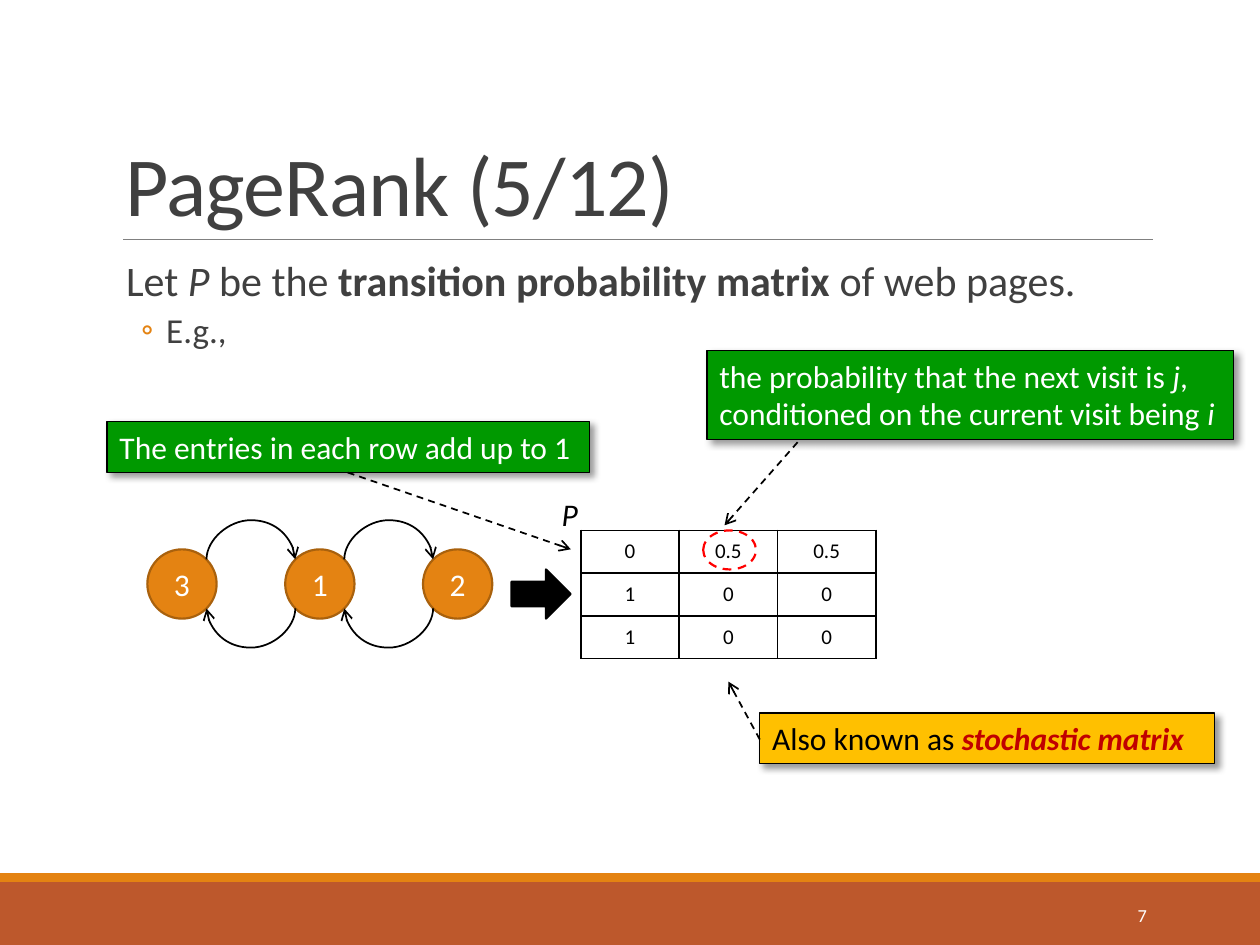
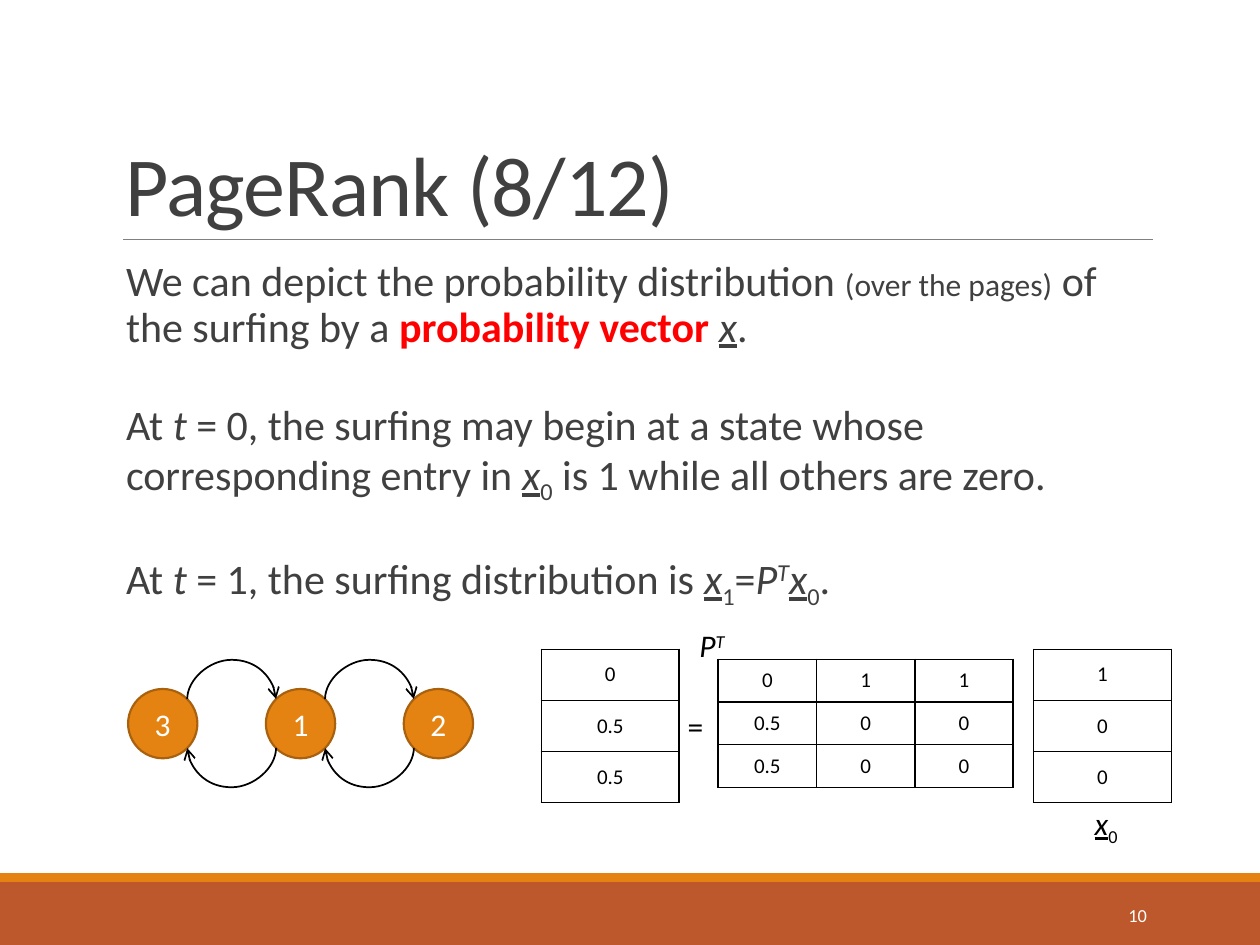
"""Builds two slides on the PageRank transition matrix."""
from math import cos, pi

from lxml.etree import SubElement
from pptx import Presentation
from pptx.dml.color import RGBColor
from pptx.enum.dml import MSO_LINE as Dash
from pptx.enum.shapes import MSO_CONNECTOR as Link, MSO_SHAPE as Form
from pptx.enum.text import MSO_ANCHOR as Anchor, MSO_AUTO_SIZE as Fit, PP_ALIGN as Align
from pptx.oxml.ns import qn
from pptx.util import Pt

COLORS = {
    "rust": "BD582C", "orange": "E48312", "brown": "A9610D", "gray": "808080",
    "ink": "404040", "black": "000000", "white": "FFFFFF", "green": "009900",
    "amber": "FFC000", "crimson": "C00000", "red": "FF0000",
}
FONT = "Calibri"
DIAMETER, PITCH = 39.6, 78.75
ARC_HEIGHT, ARC_DEPTH = 23.76, 0.12
ITALIC = {"italic": True}
VECTOR = {"italic": True, "underline": True}
SUB, SUPER = {"baseline": -25}, {"baseline": 30, "italic": True}


def rgb(name):
    return RGBColor.from_string(COLORS[name])


def points(*lengths):
    return [Pt(length) for length in lengths]


def write(paragraph, text, size=18, color="black", bold=False, italic=False,
          underline=False, baseline=0, spacing=0):
    run = paragraph.add_run()
    run.text = text
    font = run.font
    font.name, font.size, font.bold = FONT, Pt(size), bold
    font.italic, font.underline = italic, underline
    font.color.rgb = rgb(color)
    if baseline:
        run._r.get_or_add_rPr().set("baseline", str(baseline * 1000))
    if spacing:
        run._r.get_or_add_rPr().set("spc", str(int(spacing * 100)))


class Deck:
    def __init__(self):
        self.prs = Presentation()
        self.prs.slide_width, self.prs.slide_height = points(720, 540)

    def new_slide(self, title, number):
        self.slide = self.prs.slides.add_slide(self.prs.slide_layouts[6])
        self.shape(Form.RECTANGLE, (0, 504, 720, 36), "rust")
        self.shape(Form.RECTANGLE, (0, 499, 720, 5), "orange")
        self.line((70.5, 136.8), (658.8, 136.8), "gray", 0.5)
        heading = self.text((64.8, 22.5, 594, 136.8 - 22.5), [[(title, {"spacing": -0.5})]],
                            anchor=Anchor.BOTTOM, size=48, color="ink")
        heading.paragraphs[0].line_spacing = 0.85
        self.text((584.6, 508.3, 77.8, 28.8), [[(str(number), {})]], Align.RIGHT,
                  Anchor.MIDDLE, size=10.5, color="white")

    def fill_text(self, frame, paragraphs, align=Align.LEFT, anchor=Anchor.TOP,
                  wrap=True, **style):
        frame.word_wrap, frame.vertical_anchor = wrap, anchor
        if not wrap:
            frame.auto_size = Fit.SHAPE_TO_FIT_TEXT
        for index, runs in enumerate(paragraphs):
            paragraph = frame.add_paragraph() if index else frame.paragraphs[0]
            paragraph.alignment = align
            for content, extra in runs:
                write(paragraph, content, **{**style, **extra})
        return frame

    def text(self, box, paragraphs, *layout, **style):
        frame = self.slide.shapes.add_textbox(*points(*box)).text_frame
        return self.fill_text(frame, paragraphs, *layout, **style)

    def label(self, box, *runs):
        self.text(box, [runs], wrap=False)

    def body(self, paragraphs, gap=14):
        frame = self.text((64.8, 145.4, 594, 316.8), paragraphs, size=24, color="ink")
        frame.margin_left = frame.margin_right = 0
        for index, paragraph in enumerate(frame.paragraphs):
            paragraph._p.get_or_add_pPr().set("marL", str(Pt(7.2)))
            paragraph.line_spacing, paragraph.space_after = 0.9, Pt(2)
            if index:
                paragraph.space_before = Pt(gap)
        return frame

    def bullet(self, paragraph):
        props = paragraph._p.get_or_add_pPr()
        props.set("marL", str(Pt(30.2)))
        props.set("indent", str(Pt(-14.4)))
        tint = SubElement(props, qn("a:buClr"))
        SubElement(tint, qn("a:srgbClr"), val=COLORS["orange"])
        SubElement(props, qn("a:buFont"), typeface=FONT)
        SubElement(props, qn("a:buChar"), char="◦")

    def shape(self, form, box, fill=None, line=None, width=1.25, dash=None):
        shape = self.slide.shapes.add_shape(form, *points(*box))
        shape.shadow.inherit = False
        if fill:
            shape.fill.solid()
            shape.fill.fore_color.rgb = rgb(fill)
        else:
            shape.fill.background()
        if line:
            shape.line.color.rgb, shape.line.width = rgb(line), Pt(width)
            shape.line.dash_style = dash
        else:
            shape.line.fill.background()
        return shape

    def callout(self, box, fill, paragraphs, color):
        card = self.shape(Form.RECTANGLE, box, fill, "black", 0.75)
        effects = card.element.spPr.find(qn("a:effectLst"))
        shadow = SubElement(effects, qn("a:outerShdw"), blurRad=str(Pt(4)),
                            dist=str(Pt(3)), dir="2700000", algn="tl", rotWithShape="0")
        tint = SubElement(shadow, qn("a:srgbClr"), val=COLORS["black"])
        SubElement(tint, qn("a:alpha"), val="40000")
        self.fill_text(card.text_frame, paragraphs, wrap=False, color=color)

    def line(self, start, end, color="black", width=1, dash=None, arrow=False,
             kind=Link.STRAIGHT):
        link = self.slide.shapes.add_connector(kind, *points(*start, *end))
        link.line.color.rgb, link.line.width = rgb(color), Pt(width)
        link.line.dash_style = dash
        props = link.element.spPr
        if arrow:
            SubElement(props.find(qn("a:ln")), qn("a:tailEnd"), type="arrow")
        SubElement(props, qn("a:effectLst"))
        return link

    def pointer(self, start, end):
        self.line(start, end, dash=Dash.DASH, arrow=True)

    def arc(self, source, target, sites, center, side):
        x, y = center
        dx = side * ARC_DEPTH / 2
        dy = side * (PITCH - DIAMETER * cos(pi / 4)) / 2
        link = self.line((x - dx, y - dy), (x + dx, y + dy), arrow=True, kind=Link.CURVE)
        props = link.element.spPr
        props.find(qn("a:xfrm")).set("rot", "5400000")
        guides = props.find(qn("a:prstGeom")).get_or_add_avLst()
        bend = round(ARC_HEIGHT / ARC_DEPTH * 100000)
        SubElement(guides, qn("a:gd"), name="adj1", fmla=f"val {bend}")
        ends = link.element.find(qn("p:nvCxnSpPr")).find(qn("p:cNvCxnSpPr"))
        for tag, node, site in zip(("a:stCxn", "a:endCxn"), (source, target), sites):
            SubElement(ends, qn(tag), id=str(node.shape_id), idx=str(site))

    def page_graph(self, left, top):
        nodes = []
        for index, page in enumerate("312"):
            node = self.shape(Form.OVAL, (left + index * PITCH, top, DIAMETER, DIAMETER),
                              "orange", "brown")
            self.fill_text(node.text_frame, [[(page, {})]], Align.CENTER, Anchor.MIDDLE,
                           color="white")
            nodes.append(node)
        reach = DIAMETER / 2 * cos(pi / 4)
        for index, (near, far) in enumerate(zip(nodes, nodes[1:])):
            x = left + DIAMETER / 2 + (index + 0.5) * PITCH
            y = top + DIAMETER / 2
            self.arc(near, far, (7, 1), (x, y - reach), -1)
            self.arc(far, near, (3, 5), (x, y + reach), 1)

    def matrix(self, left, top, rows, col_width=56.2, row_height=24.4, fill=None):
        box = points(left, top, col_width * len(rows[0]), row_height * len(rows))
        table = self.slide.shapes.add_table(len(rows), len(rows[0]), *box).table
        table.first_row = table.horz_banding = False
        for column in table.columns:
            column.width = Pt(col_width)
        for row, entries in zip(table.rows, rows):
            row.height = Pt(row_height)
            for cell, entry in zip(row.cells, entries):
                self.fill_cell(cell, entry, fill)

    def fill_cell(self, cell, entry, fill):
        props = cell._tc.get_or_add_tcPr()
        for side in ("a:lnL", "a:lnR", "a:lnT", "a:lnB"):
            border = SubElement(props, qn(side), w=str(Pt(1)))
            SubElement(SubElement(border, qn("a:solidFill")), qn("a:srgbClr"),
                       val=COLORS["black"])
        if fill:
            cell.fill.solid()
            cell.fill.fore_color.rgb = rgb(fill)
        else:
            cell.fill.background()
        cell.vertical_anchor = Anchor.MIDDLE
        paragraph = cell.text_frame.paragraphs[0]
        paragraph.alignment = Align.CENTER
        write(paragraph, entry, size=12)

    def vector(self, left, top, entries):
        self.matrix(left, top, [[entry] for entry in entries], 78.7, 29.2, "white")


def transition_matrix(deck):
    deck.new_slide("PageRank (5/12)", 7)
    definition = deck.body([
        [("Let ", {}), ("P", ITALIC), (" be the ", {}),
         ("transition probability matrix", {"bold": True}), (" of web pages.", {})],
        [("E.g.,", {"size": 20})],
    ], gap=2)
    deck.bullet(definition.paragraphs[1])
    deck.page_graph(84.2, 313.9)
    deck.matrix(331.9, 303.1, [["0", "0.5", "0.5"], ["1", "0", "0"], ["1", "0", "0"]])
    deck.shape(Form.RIGHT_ARROW, (292.3, 325.4, 33.8, 28.1), "black", "black")
    deck.label((313.9, 279.4, 26.6, 29), ("P", ITALIC))
    deck.callout((404, 200.2, 301, 51), "green", [
        [("the probability that the next visit is ", {}), ("j", ITALIC), (",", {})],
        [("conditioned on the current visit being ", {}), ("i", ITALIC)],
    ], "white")
    deck.pointer((455.8, 252.7), (414, 300.2))
    deck.callout((61.2, 241, 275.8, 29), "green",
                 [[("The entries in each row add up to 1", {})]], "white")
    deck.pointer((198.7, 270), (326.2, 313.9))
    deck.callout((434.2, 407.5, 260, 29), "amber", [
        [("Also known as ", {}),
         ("stochastic matrix", {"color": "crimson", "bold": True, "italic": True})],
    ], "black")
    deck.pointer((434.2, 422.6), (416.2, 389.5))
    deck.shape(Form.OVAL, (401.8, 303.1, 30.2, 22.3), line="red", dash=Dash.DASH)


def probability_vector(deck):
    deck.new_slide("PageRank (8/12)", 10)
    deck.body([
        [("We can depict the probability distribution ", {}),
         ("(over the pages)", {"size": 18}), (" of the surfing by a ", {}),
         ("probability vector ", {"color": "red", "bold": True}), ("x", VECTOR), (".", {})],
        [("At ", {}), ("t ", ITALIC),
         ("= 0, the surfing may begin at a state whose corresponding entry in ", {}),
         ("x", VECTOR), ("0", SUB), (" is 1 while all others are zero.", {})],
        [("At ", {}), ("t ", ITALIC), ("= 1, the surfing distribution is ", {}),
         ("x", VECTOR), ("1", SUB), ("=", {}), ("P", ITALIC), ("T", SUPER),
         ("x", VECTOR), ("0", SUB), (".", {})],
    ], gap=28)
    deck.vector(309.4, 371, ["0", "0.5", "0.5"])
    deck.label((385.9, 400.3, 24.5, 29), ("=", {}))
    deck.matrix(410.4, 376.8, [["0", "1", "1"], ["0.5", "0", "0"], ["0.5", "0", "0"]])
    deck.label((392.6, 354.2, 32.4, 29), ("P", ITALIC), ("T", SUPER))
    deck.vector(590.6, 371, ["1", "0", "0"])
    deck.page_graph(73.2, 393.7)
    deck.label((618.5, 455.8, 28.8, 29), ("x", VECTOR), ("0", SUB))


def main():
    deck = Deck()
    transition_matrix(deck)
    probability_vector(deck)
    deck.prs.save("out.pptx")


if __name__ == "__main__":
    main()
